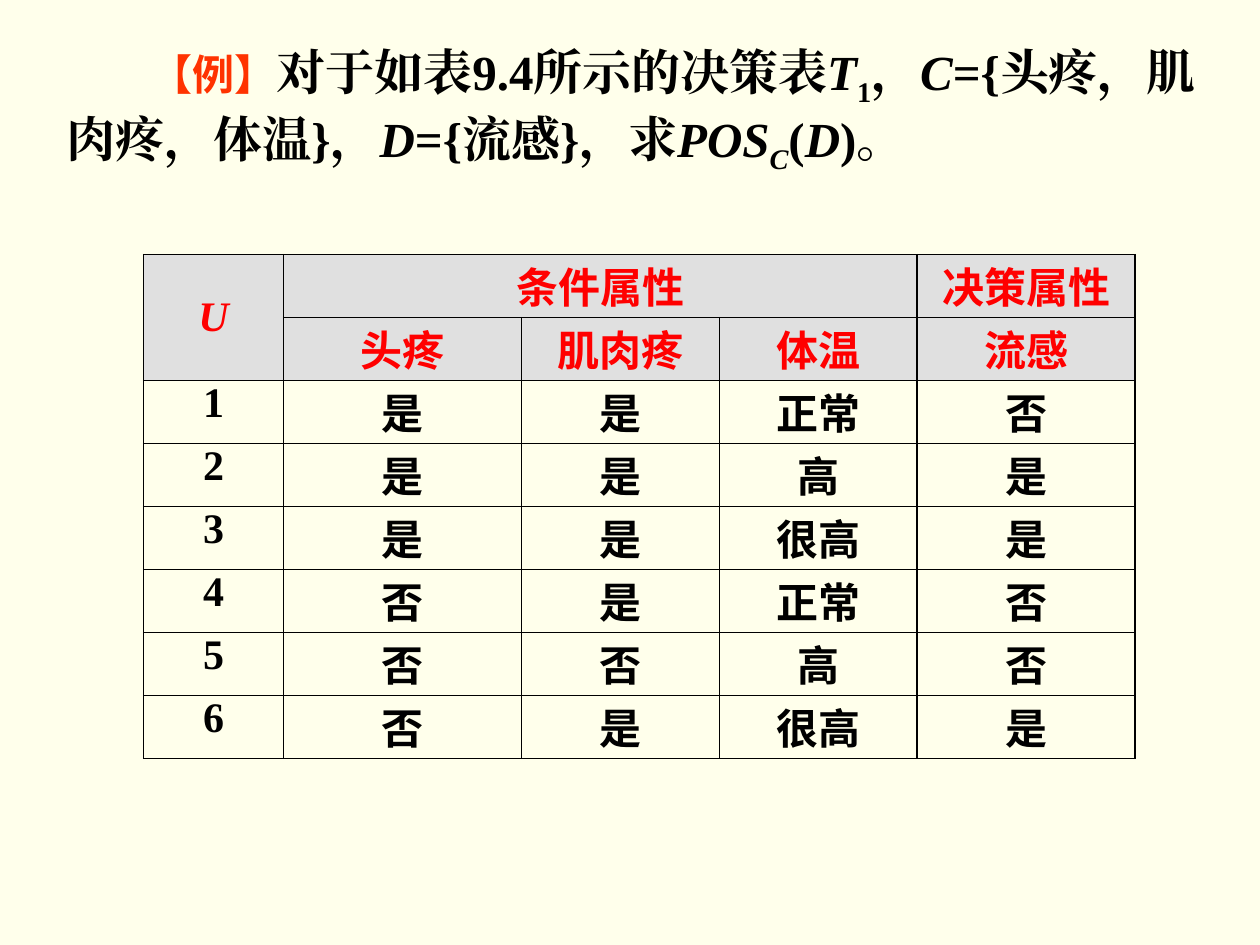
from dataclasses import dataclass

from pptx import Presentation
from pptx.dml.color import RGBColor as RGB
from pptx.enum.text import MSO_ANCHOR as Anchor, MSO_AUTO_SIZE as AutoSize, PP_ALIGN as Align
from pptx.oxml.ns import qn
from pptx.oxml.xmlchemy import OxmlElement as Element
from pptx.util import Inches, Pt


@dataclass(frozen=True)
class Theme:
    paper: str = "FFFFEB"
    head_fill: str = "E0E0E0"
    ink: str = "000000"
    head: str = "FF0000"
    tag: str = "FF3300"
    latin: str = "Times New Roman"
    cjk: str = "Noto Sans CJK SC"
    title_size: int = 28
    body_size: int = 24
    border: float = 1


@dataclass(frozen=True)
class Span:
    text: str
    italic: bool = False
    sub: bool = False
    color: str = Theme.ink
    font: str = Theme.latin
    size: int = Theme.title_size


@dataclass(frozen=True)
class Grid:
    left: float = 1.14
    top: float = 2.02
    cols: tuple[float, ...] = (1.11, 1.89, 1.57, 1.57, 1.73)
    row: float = 0.5
    head_rows: int = 2


T = Theme()
G = Grid()

QUESTION = (
    Span("【例】", color=T.tag, font=T.cjk, size=T.body_size),
    Span("对于如表9.4所示的决策表"),
    Span("T", italic=True),
    Span("1", sub=True),
    Span("，"),
    Span("C", italic=True),
    Span("={头疼，肌肉疼，体温}，"),
    Span("D", italic=True),
    Span("={流感}，求"),
    Span("POS", italic=True),
    Span("C", italic=True, sub=True),
    Span("("),
    Span("D", italic=True),
    Span(")。"),
)

ROWS = (
    ("U", "条件属性", "", "", "决策属性"),
    ("", "头疼", "肌肉疼", "体温", "流感"),
    ("1", "是", "是", "正常", "否"),
    ("2", "是", "是", "高", "是"),
    ("3", "是", "是", "很高", "是"),
    ("4", "否", "是", "正常", "否"),
    ("5", "否", "否", "高", "否"),
    ("6", "否", "是", "很高", "是"),
)


def add_run(p, span: Span) -> None:
    r = p.add_run()
    r.text = span.text
    f = r.font
    f.size, f.bold, f.italic = Pt(span.size), True, span.italic
    f.color.rgb = RGB.from_string(span.color)
    f.name = span.font
    ea = Element("a:ea")
    ea.set("typeface", span.font)
    f._element.find(qn("a:latin")).addnext(ea)
    if span.sub:
        f._element.set("baseline", "-25000")


def add_question(s) -> None:
    sp = s.shapes.title
    sp.left, sp.top, sp.width, sp.height = map(Inches, (0.43, 0.28, 9.29, 1.04))
    tf = sp.text_frame
    tf.word_wrap, tf.auto_size = True, AutoSize.SHAPE_TO_FIT_TEXT
    tf.vertical_anchor = Anchor.TOP
    p = tf.paragraphs[0]
    p.alignment = Align.LEFT
    p._p.get_or_add_pPr().set("indent", str(Pt(2 * T.body_size)))
    for span in QUESTION:
        add_run(p, span)


def add_borders(cell) -> None:
    tc_pr = cell._tc.get_or_add_tcPr()
    for i, side in enumerate(("lnL", "lnR", "lnT", "lnB")):
        ln = Element(f"a:{side}")
        ln.set("w", str(Pt(T.border)))
        fill, clr = Element("a:solidFill"), Element("a:srgbClr")
        clr.set("val", T.ink)
        fill.append(clr)
        ln.append(fill)
        tc_pr.insert(i, ln)


def fill_cell(cell, text: str, is_head: bool) -> None:
    cell.margin_top = cell.margin_bottom = 0
    if is_head:
        cell.fill.solid()
        cell.fill.fore_color.rgb = RGB.from_string(T.head_fill)
    else:
        cell.fill.background()
    add_borders(cell)
    if text:
        p = cell.text_frame.paragraphs[0]
        p.alignment = Align.CENTER
        add_run(p, Span(text, italic=text == "U", color=T.head if is_head else T.ink,
                        font=T.latin if text.isascii() else T.cjk, size=T.body_size))


def add_decision_table(s) -> None:
    frame = s.shapes.add_table(len(ROWS), len(G.cols), Inches(G.left), Inches(G.top),
                               Inches(sum(G.cols)), Inches(G.row * len(ROWS)))
    tbl = frame.table
    tbl.first_row = tbl.horz_banding = False
    for col, width in zip(tbl.columns, G.cols):
        col.width = Inches(width)
    for i, row in enumerate(ROWS):
        tbl.rows[i].height = Inches(G.row)
        for j, text in enumerate(row):
            fill_cell(tbl.cell(i, j), text, i < G.head_rows)
    tbl.cell(0, 0).merge(tbl.cell(1, 0))
    tbl.cell(0, 1).merge(tbl.cell(0, 3))
    tbl.cell(0, 0).vertical_anchor = Anchor.MIDDLE


def main() -> None:
    prs = Presentation()
    prs.slide_width, prs.slide_height = Inches(10), Inches(7.5)
    s = prs.slides.add_slide(prs.slide_layouts[5])
    s.background.fill.solid()
    s.background.fill.fore_color.rgb = RGB.from_string(T.paper)
    add_question(s)
    add_decision_table(s)
    prs.save("out.pptx")


if __name__ == "__main__":
    main()
